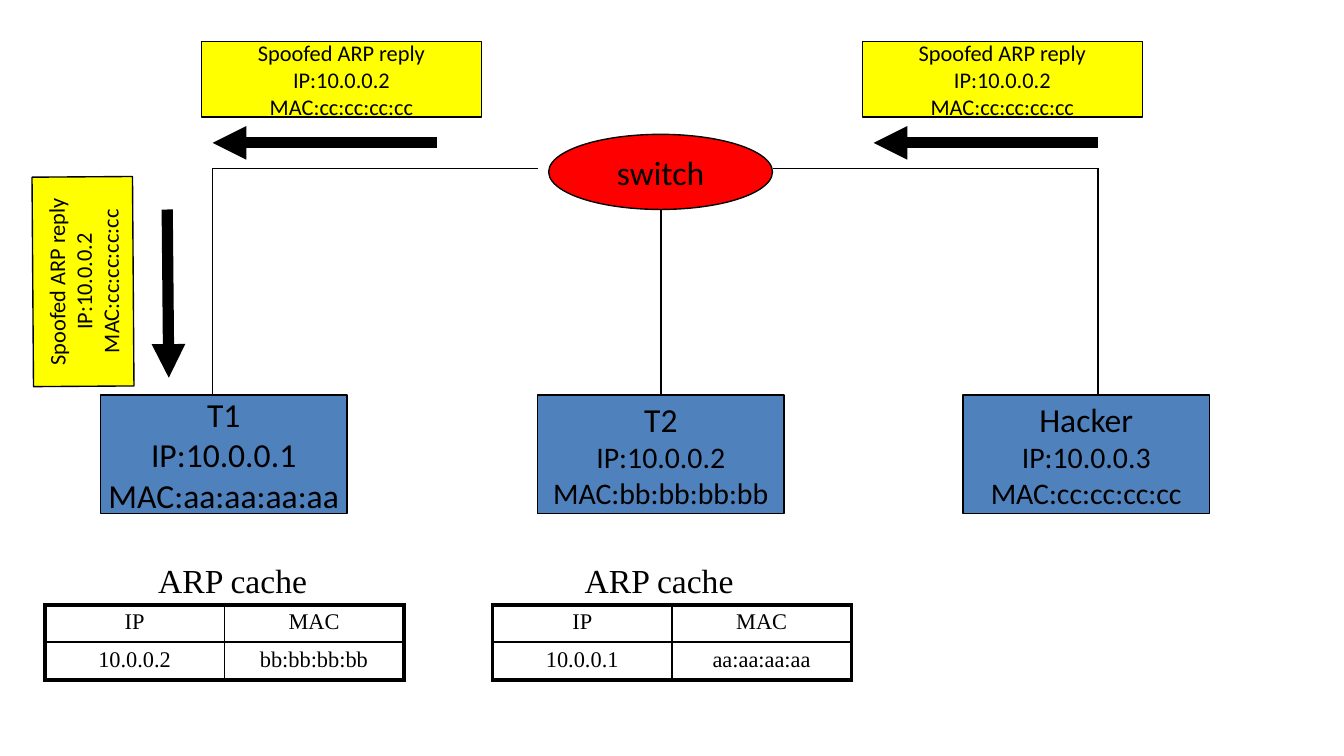
"""Build a slide that shows ARP spoofing across a switch."""
from lxml import etree
from pptx import Presentation
from pptx.dml.color import RGBColor
from pptx.enum.shapes import MSO_CONNECTOR, MSO_SHAPE
from pptx.enum.text import MSO_ANCHOR, PP_ALIGN
from pptx.oxml.ns import qn
from pptx.util import Cm, Pt

RECT, OVAL = MSO_SHAPE.RECTANGLE, MSO_SHAPE.OVAL
LINE = MSO_CONNECTOR.STRAIGHT
MID, MIDDLE = PP_ALIGN.CENTER, MSO_ANCHOR.MIDDLE
BLACK = RGBColor(0, 0, 0)
BLUE = RGBColor(0x4F, 0x81, 0xBD)
RED = RGBColor(0xFF, 0, 0)
YELLOW = RGBColor(0xFF, 0xFF, 0)
SANS, SERIF = "Calibri", "Times New Roman"

NODES = [
    (1.9, ["T1", "IP:10.0.0.1", "MAC:aa:aa:aa:aa"], [18, 18, 18]),
    (10.16, ["T2", "IP:10.0.0.2", "MAC:bb:bb:bb:bb"], [18, 16, 16]),
    (18.2, ["Hacker", "IP:10.0.0.3", "MAC:cc:cc:cc:cc"], [18, 16, 16]),
]
SPOOF = ["Spoofed ARP reply", "IP:10.0.0.2", "MAC:cc:cc:cc:cc"]
NOTES = [
    ((16.3, 0.79, 5.29, 1.42), 0, (20.75, 2.7, 16.51, 2.7)),
    ((-0.41, 4.37, 3.96, 1.9), 269.6, (3.16, 3.96, 3.19, 7.14)),
    ((3.81, 0.79, 5.29, 1.42), 0, (8.26, 2.7, 4.02, 2.7)),
]
CACHES = [
    (0.85, 2.74, [["IP", "MAC"], ["10.0.0.2", "bb:bb:bb:bb"]]),
    (9.31, 10.8, [["IP", "MAC"], ["10.0.0.1", "aa:aa:aa:aa"]]),
]
LEFT, HUB, RIGHT = 4.02, 12.49, 20.75
BUS, BASE = 3.18, 7.47
WIRES = [
    (HUB, 3.96, HUB, BASE),
    (LEFT, BASE, LEFT, BUS),
    (LEFT, BUS, 10.16, BUS),
    (14.6, BUS, RIGHT, BUS),
    (RIGHT, BASE, RIGHT, BUS),
]


def write(frame, lines, sizes, font, align=MID):
    for i, (line, size) in enumerate(zip(lines, sizes)):
        para = frame.paragraphs[0] if i == 0 else frame.add_paragraph()
        para.alignment = align
        run = para.add_run()
        run.text = line
        run.font.size = Pt(size)
        run.font.name = font
        run.font.color.rgb = BLACK


def add_box(shapes, kind, place, fill, lines, sizes, turn=0):
    box = shapes.add_shape(kind, *map(Cm, place))
    box.shadow.inherit = False
    box.rotation = turn
    box.fill.solid()
    box.fill.fore_color.rgb = fill
    box.line.color.rgb = BLACK
    box.line.width = Pt(0.75)
    frame = box.text_frame
    frame.word_wrap = False
    frame.vertical_anchor = MIDDLE
    write(frame, lines, sizes, SANS)


def add_line(shapes, ends, width=0.75, head=False):
    link = shapes.add_connector(LINE, *map(Cm, ends))
    link.line.color.rgb = BLACK
    link.line.width = Pt(width)
    props = link._element.spPr
    if head:
        etree.SubElement(props.find(qn("a:ln")), qn("a:tailEnd"), type="triangle")
    etree.SubElement(props, qn("a:effectLst"))


def add_edge(cell, side, width):
    props = cell._tc.get_or_add_tcPr()
    edge = etree.SubElement(props, qn("a:ln" + side), w=str(Pt(width)))
    fill = etree.SubElement(edge, qn("a:solidFill"))
    etree.SubElement(fill, qn("a:srgbClr"), val=str(BLACK))


def add_cache(shapes, left, label, rows):
    high, wide = len(rows), len(rows[0])
    frame = shapes.add_table(high, wide, Cm(left), Cm(11.43), Cm(3.39 * wide), Cm(0.71 * high))
    grid = frame.table
    grid.first_row = grid.horz_banding = False
    for r, row in enumerate(rows):
        for c, word in enumerate(row):
            cell = grid.cell(r, c)
            cell.margin_left = cell.margin_right = Cm(0.25)
            cell.margin_top = cell.margin_bottom = Cm(0.1)
            outer = {"L": c == 0, "R": c == wide - 1, "T": r == 0, "B": r == high - 1}
            for side, thick in outer.items():
                add_edge(cell, side, 2.25 if thick else 1)
            cell.fill.background()
            write(cell.text_frame, [word], [12], SERIF)
    text = shapes.add_textbox(Cm(label), Cm(10.46), Cm(3.35), Cm(1.02))
    text.text_frame.word_wrap = False
    write(text.text_frame, ["ARP cache"], [18], SERIF, PP_ALIGN.LEFT)


def main():
    deck = Presentation()
    deck.slide_width, deck.slide_height = Cm(25.4), Cm(14.29)
    shapes = deck.slides.add_slide(deck.slide_layouts[6]).shapes
    for left, lines, sizes in NODES:
        add_box(shapes, RECT, (left, BASE, 4.66, 2.24), BLUE, lines, sizes)
    add_box(shapes, OVAL, (10.37, 2.54, 4.23, 1.42), RED, ["switch"], [18])
    for ends in WIRES:
        add_line(shapes, ends)
    for cache in CACHES:
        add_cache(shapes, *cache)
    for place, turn, ends in NOTES:
        add_box(shapes, RECT, place, YELLOW, SPOOF, [12] * 3, turn)
        add_line(shapes, ends, 6, True)
    deck.save("out.pptx")


if __name__ == "__main__":
    main()
